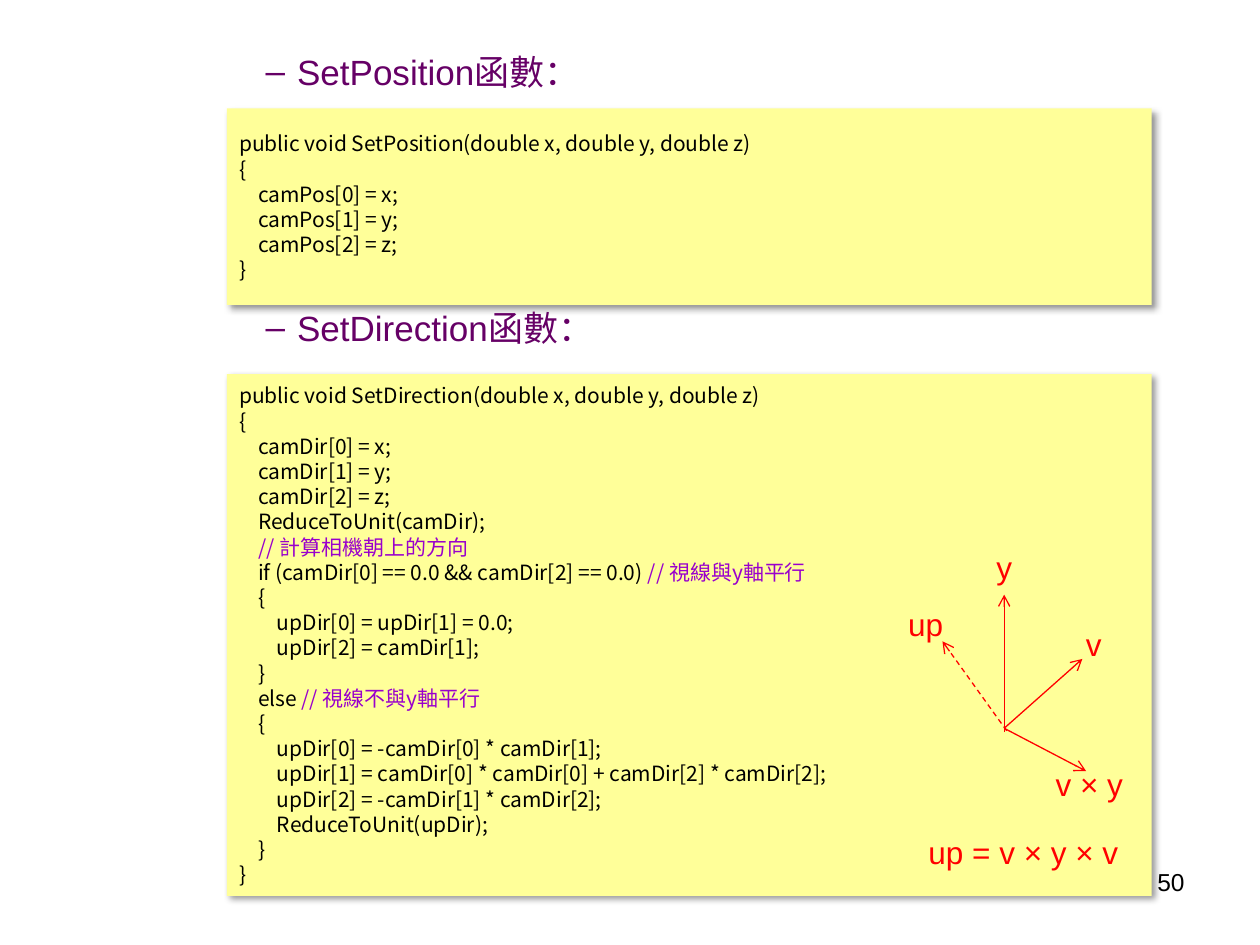
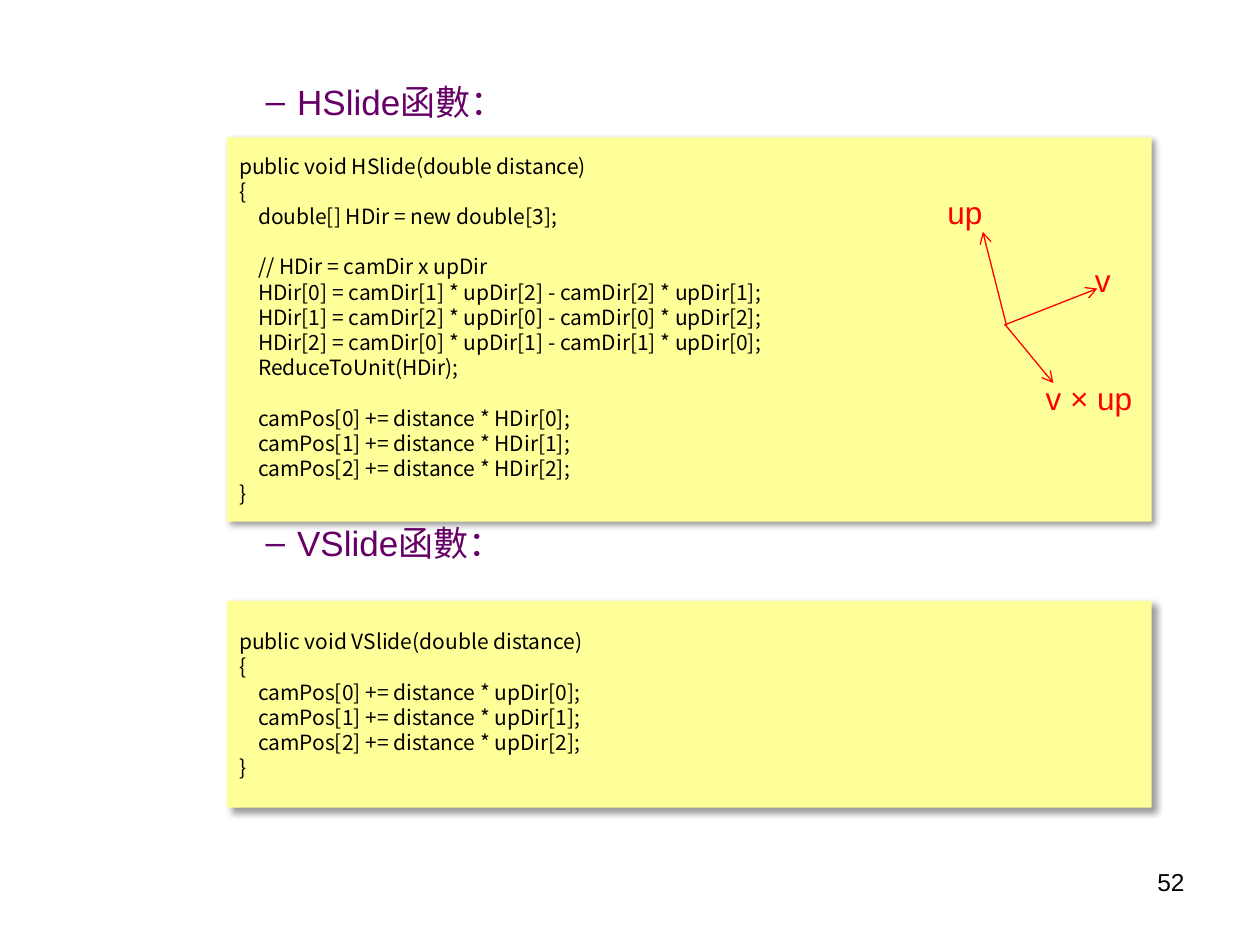
from lxml import etree
from pptx import Presentation
from pptx.dml.color import RGBColor
from pptx.enum.dml import MSO_LINE
from pptx.enum.shapes import MSO_CONNECTOR, MSO_SHAPE
from pptx.enum.text import MSO_ANCHOR, PP_ALIGN
from pptx.oxml.ns import qn
from pptx.util import Inches, Pt

# Shared colours, fonts and measures
PURPLE = RGBColor(0x66, 0x00, 0x66)
VIOLET = RGBColor(0x99, 0x00, 0xCC)
YELLOW = RGBColor(0xFF, 0xFF, 0x99)
RED = RGBColor(0xFF, 0x00, 0x00)
BLACK = RGBColor(0x00, 0x00, 0x00)
SANS = "Arial"
CODE_FONT = "Noto Sans CJK KR"
HEADING = {"size": Pt(20), "name": SANS, "color": PURPLE}
CODE = {"size": Pt(12), "name": CODE_FONT, "color": BLACK}
COMMENT = {**CODE, "color": VIOLET}
LABEL = {"size": Pt(18), "name": SANS, "color": RED}
NUMBER = {"size": Pt(14), "name": SANS, "color": BLACK}

PANEL_LEFT, PANEL_WIDTH = 1.8, 7.34
CODE_LINE = Pt(14.4)
INDENT_STEP = 0.15
SPACES_PER_LEVEL = 4

RECTANGLE = MSO_SHAPE.RECTANGLE
STRAIGHT = MSO_CONNECTOR.STRAIGHT
DASH = MSO_LINE.DASH
TOP, MIDDLE = MSO_ANCHOR.TOP, MSO_ANCHOR.MIDDLE
LEFT, RIGHT = PP_ALIGN.LEFT, PP_ALIGN.RIGHT

# Code listings
SET_POSITION = """\
public void SetPosition(double x, double y, double z)
{
    camPos[0] = x;
    camPos[1] = y;
    camPos[2] = z;
}"""

SET_DIRECTION = """\
public void SetDirection(double x, double y, double z)
{
    camDir[0] = x;
    camDir[1] = y;
    camDir[2] = z;
    ReduceToUnit(camDir);
    // 計算相機朝上的方向
    if (camDir[0] == 0.0 && camDir[2] == 0.0) // 視線與y軸平行
    {
        upDir[0] = upDir[1] = 0.0;
        upDir[2] = camDir[1];
    }
    else // 視線不與y軸平行
    {
        upDir[0] = -camDir[0] * camDir[1];
        upDir[1] = camDir[0] * camDir[0] + camDir[2] * camDir[2];
        upDir[2] = -camDir[1] * camDir[2];
        ReduceToUnit(upDir);
    }
}"""

H_SLIDE = """\
public void HSlide(double distance)
{
    double[] HDir = new double[3];

    // HDir = camDir x upDir
    HDir[0] = camDir[1] * upDir[2] - camDir[2] * upDir[1];
    HDir[1] = camDir[2] * upDir[0] - camDir[0] * upDir[2];
    HDir[2] = camDir[0] * upDir[1] - camDir[1] * upDir[0];
    ReduceToUnit(HDir);

    camPos[0] += distance * HDir[0];
    camPos[1] += distance * HDir[1];
    camPos[2] += distance * HDir[2];
}"""

V_SLIDE = """\
public void VSlide(double distance)
{
    camPos[0] += distance * upDir[0];
    camPos[1] += distance * upDir[1];
    camPos[2] += distance * upDir[2];
}"""


def add_run(paragraph, text, text_format):
    run = paragraph.add_run()
    run.text = text
    for name, value in text_format.items():
        if name == "color":
            run.font.color.rgb = value
        else:
            setattr(run.font, name, value)
    east_asian = etree.SubElement(run.font._element, qn("a:ea"))
    east_asian.set("typeface", CODE_FONT)


def set_indent(paragraph, left, first=0):
    properties = paragraph._p.get_or_add_pPr()
    properties.set("marL", str(Inches(left)))
    properties.set("indent", str(Inches(first)))
    return properties


def add_text(slide, left, top, width, height, text, text_format, align=LEFT):
    box = slide.shapes.add_textbox(*map(Inches, (left, top, width, height)))
    box.text_frame.word_wrap = True
    box.text_frame.vertical_anchor = TOP
    paragraph = box.text_frame.paragraphs[0]
    paragraph.alignment = align
    add_run(paragraph, text, text_format)
    return box


def add_heading(slide, top, text):
    box = add_text(slide, 2.01, top, 7, 0.4, text, HEADING)
    box.text_frame.margin_top = box.text_frame.margin_bottom = 0
    properties = set_indent(box.text_frame.paragraphs[0], 0.25, -0.25)
    etree.SubElement(properties, qn("a:buFont")).set("typeface", SANS)
    etree.SubElement(properties, qn("a:buChar")).set("char", "–")


def add_shadow(shape):
    effects = etree.SubElement(shape._element.spPr, qn("a:effectLst"))
    shadow = etree.SubElement(effects, qn("a:outerShdw"), blurRad=str(Pt(4)),
                              dist=str(Pt(3)), dir="2700000", algn="tl", rotWithShape="0")
    color = etree.SubElement(shadow, qn("a:srgbClr"), val=str(BLACK))
    etree.SubElement(color, qn("a:alpha"), val="40000")


def add_code_panel(slide, top, height, code, comment_format=CODE):
    panel = slide.shapes.add_shape(
        RECTANGLE, *map(Inches, (PANEL_LEFT, top, PANEL_WIDTH, height)))
    panel.fill.solid()
    panel.fill.fore_color.rgb = YELLOW
    panel.line.fill.background()
    add_shadow(panel)
    frame = panel.text_frame
    frame.word_wrap = True
    frame.vertical_anchor = MIDDLE
    paragraph = frame.paragraphs[0]
    gap = Pt(0)
    for number, line in enumerate(code.splitlines()):
        if not line:
            gap = CODE_LINE
            continue
        if number:
            paragraph = frame.add_paragraph()
        paragraph.alignment = LEFT
        paragraph.line_spacing = CODE_LINE
        paragraph.space_before = gap
        gap = Pt(0)
        text = line.lstrip()
        level = (len(line) - len(text)) // SPACES_PER_LEVEL
        set_indent(paragraph, level * INDENT_STEP)
        statement, slashes, comment = text.partition("//")
        if statement:
            add_run(paragraph, statement, CODE)
        if slashes:
            add_run(paragraph, slashes + comment, comment_format)


def add_vector(slide, start, end, dash=None):
    vector = slide.shapes.add_connector(STRAIGHT, *map(Inches, start + end))
    vector.line.color.rgb = RED
    vector.line.width = Pt(0.75)
    if dash:
        vector.line.dash_style = dash
    etree.SubElement(vector.line._get_or_add_ln(), qn("a:tailEnd"), type="arrow")
    etree.SubElement(vector._element.spPr, qn("a:effectLst"))


def add_labels(slide, labels):
    for left, top, width, text in labels:
        add_text(slide, left, top, width, 0.4, text, LABEL)


def add_slide(presentation, number):
    slide = presentation.slides.add_slide(presentation.slide_layouts[6])
    add_text(slide, 7.17, 6.83, 2.33, 0.52, number, NUMBER, RIGHT)
    return slide


def build_camera_setup(presentation):
    slide = add_slide(presentation, "50")
    add_heading(slide, 0.4, "SetPosition函數：")
    add_code_panel(slide, 0.86, 1.56, SET_POSITION)
    add_heading(slide, 2.43, "SetDirection函數：")
    add_code_panel(slide, 2.97, 4.14, SET_DIRECTION, COMMENT)
    # Up vector diagram
    add_vector(slide, (7.97, 5.78), (8.59, 5.23))
    add_vector(slide, (7.97, 5.81), (7.97, 4.72))
    add_vector(slide, (7.97, 5.78), (8.62, 6.12))
    add_vector(slide, (7.99, 5.8), (7.48, 5.09), DASH)
    add_labels(slide, [
        (7.81, 4.3, 0.39, "y"),
        (7.27, 6.56, 1.72, "up = v × y × v"),
        (8.52, 4.91, 0.39, "v"),
        (8.28, 6.02, 0.86, "v × y"),
        (7.11, 4.75, 0.63, "up"),
    ])


def build_camera_slides(presentation):
    slide = add_slide(presentation, "52")
    add_heading(slide, 0.64, "HSlide函數：")
    add_code_panel(slide, 1.09, 3.05, H_SLIDE)
    add_heading(slide, 4.14, "VSlide函數：")
    add_code_panel(slide, 4.77, 1.64, V_SLIDE)
    # Horizontal vector diagram
    add_vector(slide, (7.97, 2.58), (8.71, 2.29))
    add_vector(slide, (7.98, 2.58), (8.36, 3.04))
    add_vector(slide, (7.99, 2.59), (7.8, 1.84))
    add_labels(slide, [
        (8.59, 2.02, 0.39, "v"),
        (8.2, 2.96, 1.09, "v × up"),
        (7.42, 1.48, 0.63, "up"),
    ])


def main():
    presentation = Presentation()
    presentation.slide_width = Inches(10)
    presentation.slide_height = Inches(7.5)
    build_camera_setup(presentation)
    build_camera_slides(presentation)
    presentation.save("out.pptx")


if __name__ == "__main__":
    main()
